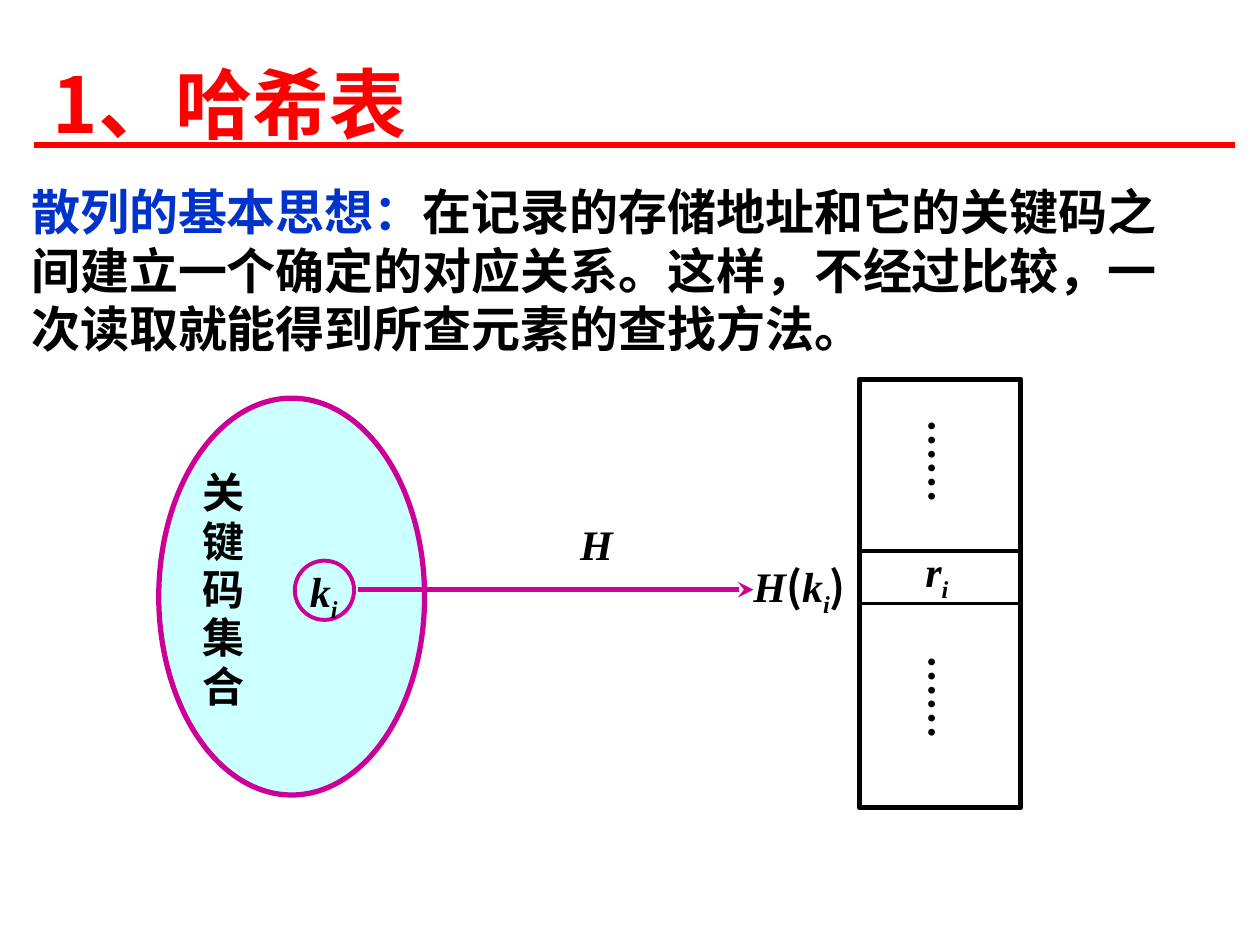
from lxml import etree
from pptx import Presentation
from pptx import util as u
from pptx.dml.color import RGBColor
from pptx.enum import shapes, text
from pptx.oxml.ns import qn

RED = RGBColor(0xFF, 0x00, 0x00)
BLUE = RGBColor(0x00, 0x33, 0xCC)
BLACK = RGBColor(0x00, 0x00, 0x00)
CYAN = RGBColor(0xCC, 0xFF, 0xFF)
PINK = RGBColor(0xCC, 0x00, 0x99)
ROMAN, SANS = "Times New Roman", "Noto Sans CJK SC"
COLS, ROWS = 100, 75
LEFT, MID = text.PP_ALIGN.LEFT, text.PP_ALIGN.CENTER
SIDE = (0.2, 0, 0.2, 0)
WIDE = (1, 0.5, 1, 0.5)
UP = (0, 0.2, 0.4, 0.2)


class Deck:
    """Holds the style and current slide; lengths are cells of a 100 by 75 grid."""

    def __init__(self):
        self.prs = Presentation()
        self.prs.slide_width, self.prs.slide_height = u.Inches(10), u.Inches(7.5)
        self.slide = self.prs.slides.add_slide(self.prs.slide_layouts[6])
        self.size = 24

    def grid(self, *cells):
        unit = (self.prs.slide_width / COLS, self.prs.slide_height / ROWS)
        return [u.Emu(round(c * unit[i % 2])) for i, c in enumerate(cells)]

    def run(self, para, words, size=None, font=ROMAN, color=BLACK, slant=False, sub=False):
        run = para.add_run()
        run.text = words
        face = run.font
        face.size, face.name = u.Pt(size or self.size), font
        face.bold, face.italic = True, slant
        face.color.rgb = color
        props = run._r.get_or_add_rPr()
        etree.SubElement(props, qn("a:ea")).set("typeface", SANS)
        if sub:
            props.set("baseline", "-25000")

    def fill(self, shape, runs, align=LEFT, space=0.96, pad=SIDE,
             anchor=text.MSO_ANCHOR.TOP):
        frame = shape.text_frame
        frame.word_wrap, frame.vertical_anchor = True, anchor
        (frame.margin_left, frame.margin_top,
         frame.margin_right, frame.margin_bottom) = self.grid(*pad)
        para = frame.paragraphs[0]
        para.alignment, para.line_spacing = align, space
        for words, style in runs:
            self.run(para, words, **style)

    def text(self, box, runs, vert=False, **look):
        shape = self.slide.shapes.add_textbox(*self.grid(*box))
        self.fill(shape, runs, **look)
        if vert:
            shape.text_frame._txBody.bodyPr.set("vert", "eaVert")

    def shape(self, kind, box, color, width=3, fill=None):
        shape = self.slide.shapes.add_shape(kind, *self.grid(*box))
        shape.shadow.inherit = False
        if fill is None:
            shape.fill.background()
        else:
            shape.fill.solid()
            shape.fill.fore_color.rgb = fill
        shape.line.color.rgb, shape.line.width = color, u.Pt(width)
        return shape

    def line(self, ends, color, width=3, head=False):
        line = self.slide.shapes.add_connector(
            shapes.MSO_CONNECTOR.STRAIGHT, *self.grid(*ends))
        line.line.color.rgb, line.line.width = color, u.Pt(width)
        props = line._element.spPr
        if head:
            etree.SubElement(props.find(qn("a:ln")), qn("a:tailEnd")).set("type", "stealth")
        etree.SubElement(props, qn("a:effectLst"))


def main():
    deck = Deck()
    oval, rect = shapes.MSO_SHAPE.OVAL, shapes.MSO_SHAPE.RECTANGLE
    slant = {"slant": True}
    low = {"slant": True, "sub": True}
    sans = {"font": SANS}

    deck.line((2.7, 11.5, 98, 11.5), RED)
    deck.text((3.2, 2.1, 85, 8.5),
              [("1、哈希表", {"size": 44, "font": SANS, "color": RED})],
              space=1.5, pad=WIDE, anchor=text.MSO_ANCHOR.MIDDLE)
    deck.text((1.5, 13.9, 93.4, 15),
              [("散列的基本思想：", {"size": 28, "color": BLUE}),
               ("在记录的存储地址和它的关键码之间建立一个确定的对应关系。"
                "这样，不经过比较，一次读取就能得到所查元素的查找方法。", {"size": 28})],
              space=1, pad=WIDE)

    deck.shape(oval, (12.6, 31.6, 21.1, 31.5), PINK, fill=CYAN)
    deck.text((15.9, 37.3, 3.4, 19.2), [("关键码集合", {})])
    deck.shape(oval, (23.4, 44.5, 4.7, 4.7), PINK, width=2.25)
    deck.text((24.4, 44.9, 4, 3.6), [("k", slant), ("i", low)])

    left, top, wide, high = 68.2, 30.1, 12.8, 34
    table = deck.shape(rect, (left, top, wide, high), BLACK)
    deck.fill(table, [("r", slant), ("i", low)], align=MID, pad=(0, 13.2, 0.5, 0))
    for row in (43.7, 47.9):
        deck.line((left, row, left + wide, row), BLACK, width=2.25)
    for row in (33.1, 51.8):
        deck.text((73.5, row, 3.7, 9), [("……", {})], vert=True, pad=UP)

    deck.line((28.4, 46.8, 59.8, 46.8), PINK, head=True)
    deck.text((36.7, 41.4, 21.3, 3.7), [("H", slant)], align=MID)
    deck.text((59.6, 44.5, 8.1, 2.8),
              [("H", slant), ("(", sans), ("k", slant), ("i", low), (")", sans)])

    deck.prs.save("out.pptx")


if __name__ == "__main__":
    main()
